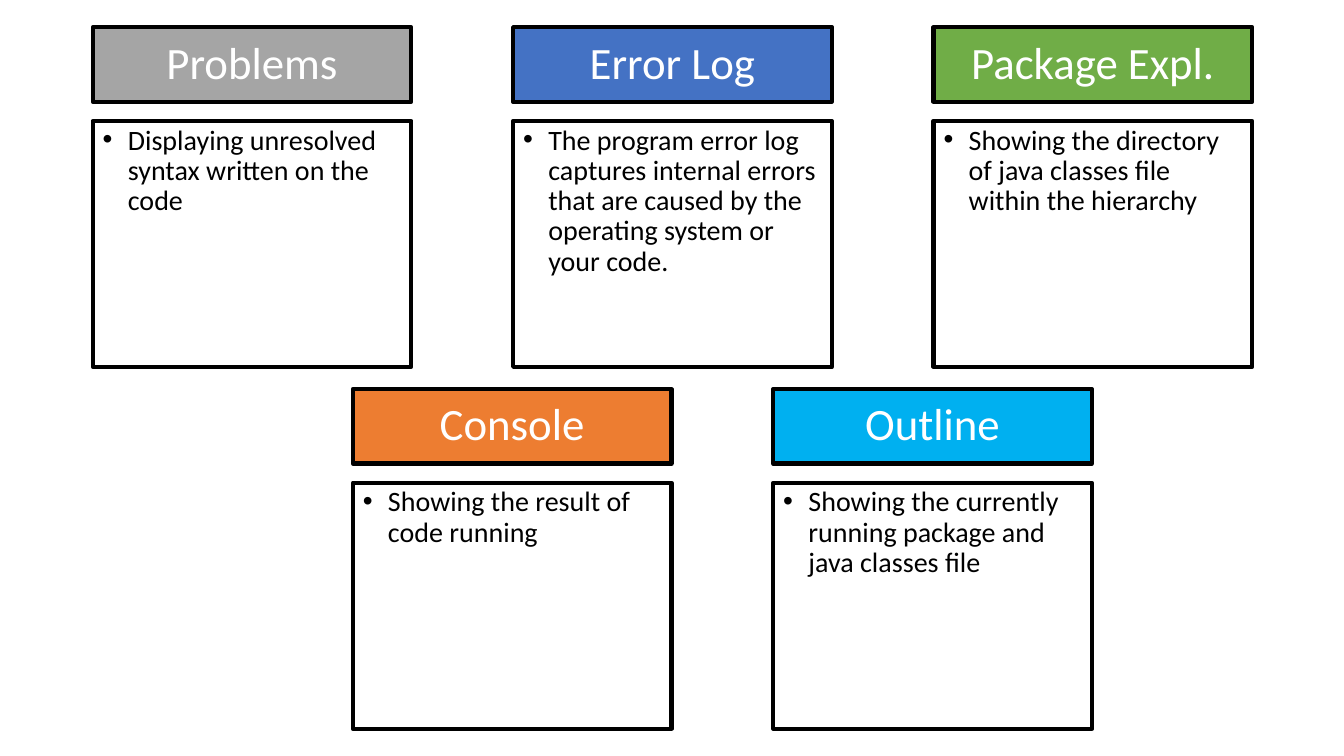
from lxml import etree
from pptx import Presentation, util as u
from pptx.dml.color import RGBColor
from pptx.enum import shapes, text
from pptx.oxml.ns import qn

THEME = {
    "font": "Calibri", "ink": "000000", "paper": "FFFFFF", "line": u.Pt(3),
    "head": u.Pt(32), "body": u.Pt(20),
    "gray": "A5A5A5", "blue": "4472C4", "green": "70AD47",
    "orange": "ED7D31", "sky": "00B0F0",
}
HEAD = {
    "frame": {"vertical_anchor": text.MSO_ANCHOR.MIDDLE},
    "para": {"alignment": text.PP_ALIGN.CENTER, "space_before": u.Pt(0)},
    "font": {"size": THEME["head"]}, "ink": THEME["paper"],
}
BODY = {
    "frame": {"vertical_anchor": text.MSO_ANCHOR.TOP},
    "para": {"alignment": text.PP_ALIGN.LEFT, "space_before": u.Pt(10)},
    "font": {"size": THEME["body"]}, "ink": THEME["ink"],
}
WIDTH, PITCH = 3.16, 4.17
HEAD_H, BODY_H, BODY_DROP = 0.74, 2.44, 0.93

# Each row: left edge, top edge, cards (heading, colour, description)
ROWS = [
    (0.92, 0.27, [
        ("Problems", "gray", "Displaying unresolved syntax written on the code"),
        ("Error Log", "blue", "The program error log captures internal errors "
         "that are caused by the operating system or your code."),
        ("Package Expl.", "green",
         "Showing the directory of java classes file within the hierarchy"),
    ]),
    (3.5, 3.86, [
        ("Console", "orange", "Showing the result of code running"),
        ("Outline", "sky",
         "Showing the currently running package and java classes file"),
    ]),
]


def style(box, words, form):
    """Outline a box, write its words and apply a format."""
    box.line.color.rgb = RGBColor.from_string(THEME["ink"])
    box.line.width = THEME["line"]
    frame = box.text_frame
    frame.text = words
    para = frame.paragraphs[0]
    font = para.runs[0].font
    font.color.rgb = RGBColor.from_string(form["ink"])
    jobs = [
        (frame, {"word_wrap": True, "auto_size": text.MSO_AUTO_SIZE.NONE}),
        (frame, form["frame"]),
        (para, {"line_spacing": 0.9}), (para, form["para"]),
        (font, {"name": THEME["font"]}), (font, form["font"]),
    ]
    for item, values in jobs:
        for name, value in values.items():
            setattr(item, name, value)
    return para


def add_box(left, top, height):
    """Add a plain rectangle of card width."""
    box = slide.shapes.add_shape(
        shapes.MSO_SHAPE.RECTANGLE, u.Inches(left), u.Inches(top),
        u.Inches(WIDTH), u.Inches(height))
    box.shadow.inherit = False
    return box


deck = Presentation()
deck.slide_width, deck.slide_height = u.Inches(13.33), u.Inches(7.5)
slide = deck.slides.add_slide(deck.slide_layouts[5])
title = slide.shapes.title

for start, top, cards in ROWS:
    for col, (name, color, words) in enumerate(cards):
        left = start + col * PITCH
        if name == "Problems":
            head = title
            head.left, head.top = u.Inches(left), u.Inches(top)
            head.width, head.height = u.Inches(WIDTH), u.Inches(HEAD_H)
        else:
            head = add_box(left, top, HEAD_H)
        head.fill.solid()
        head.fill.fore_color.rgb = RGBColor.from_string(THEME[color])
        style(head, name, HEAD)

        body = add_box(left, top + BODY_DROP, BODY_H)
        body.fill.background()
        props = style(body, words, BODY)._p.get_or_add_pPr()
        props.set("marL", str(u.Inches(0.25)))
        props.set("indent", str(u.Inches(-0.25)))
        etree.SubElement(props, qn("a:buFont"), typeface="Arial")
        etree.SubElement(props, qn("a:buChar"), char="•")

deck.save("out.pptx")
